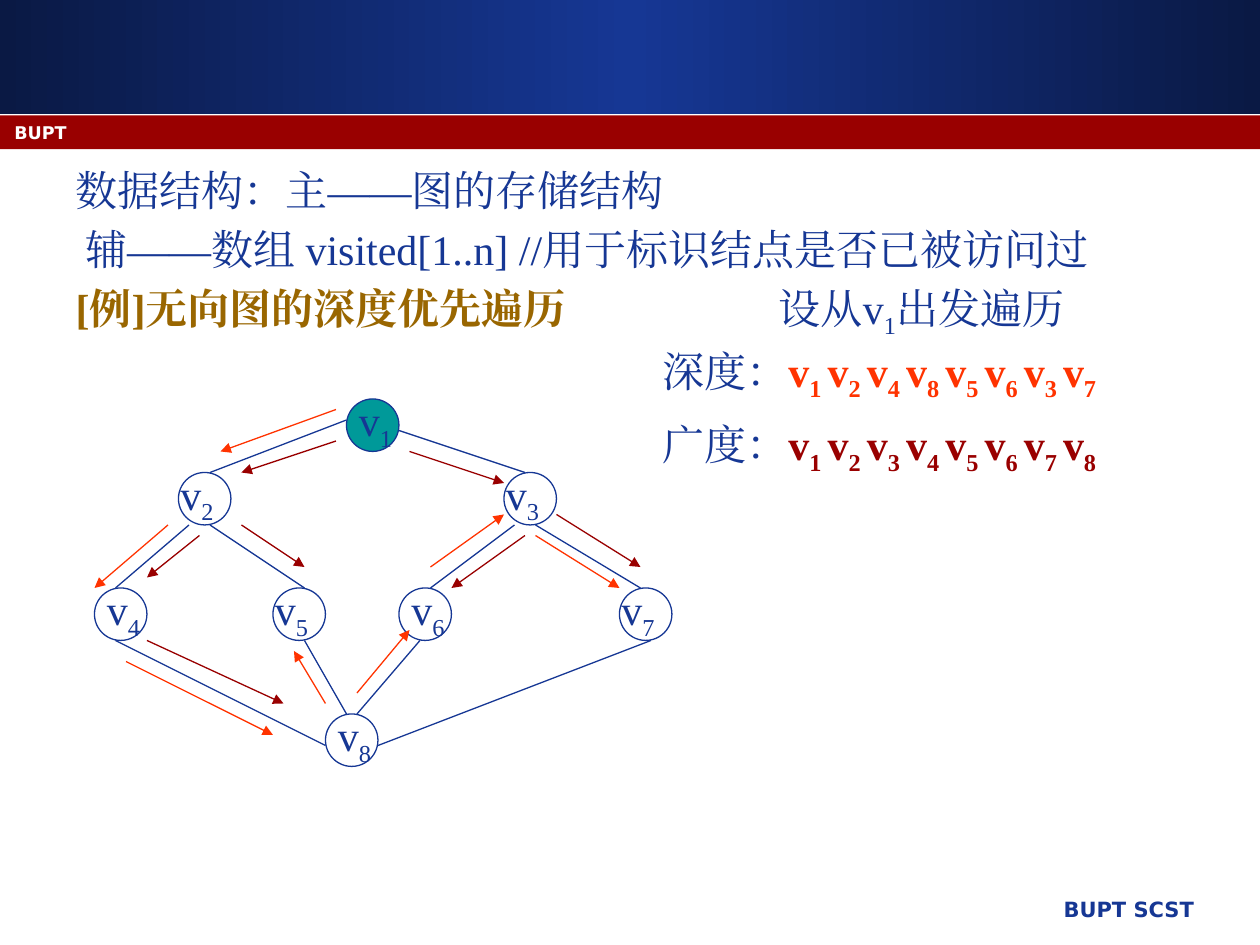
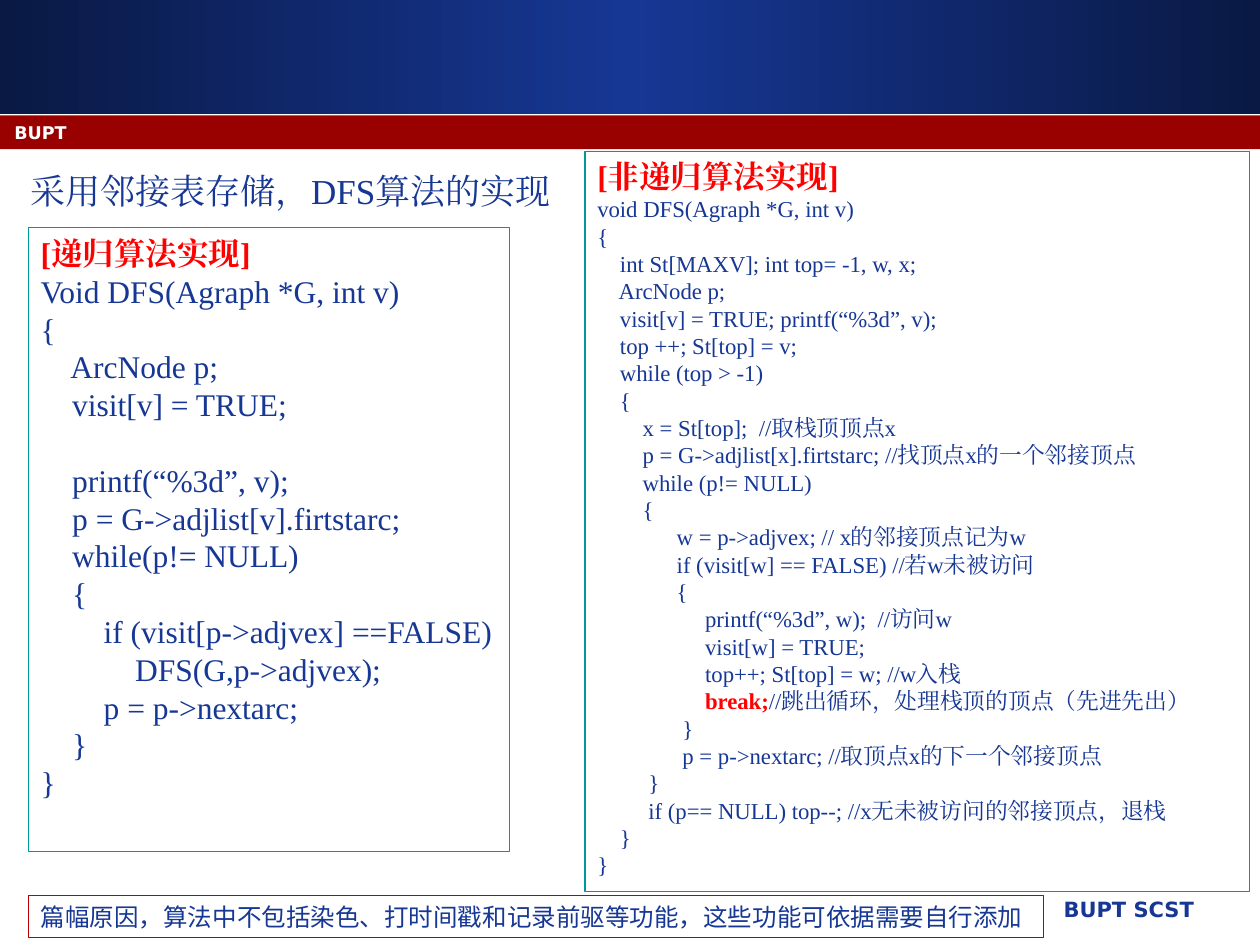
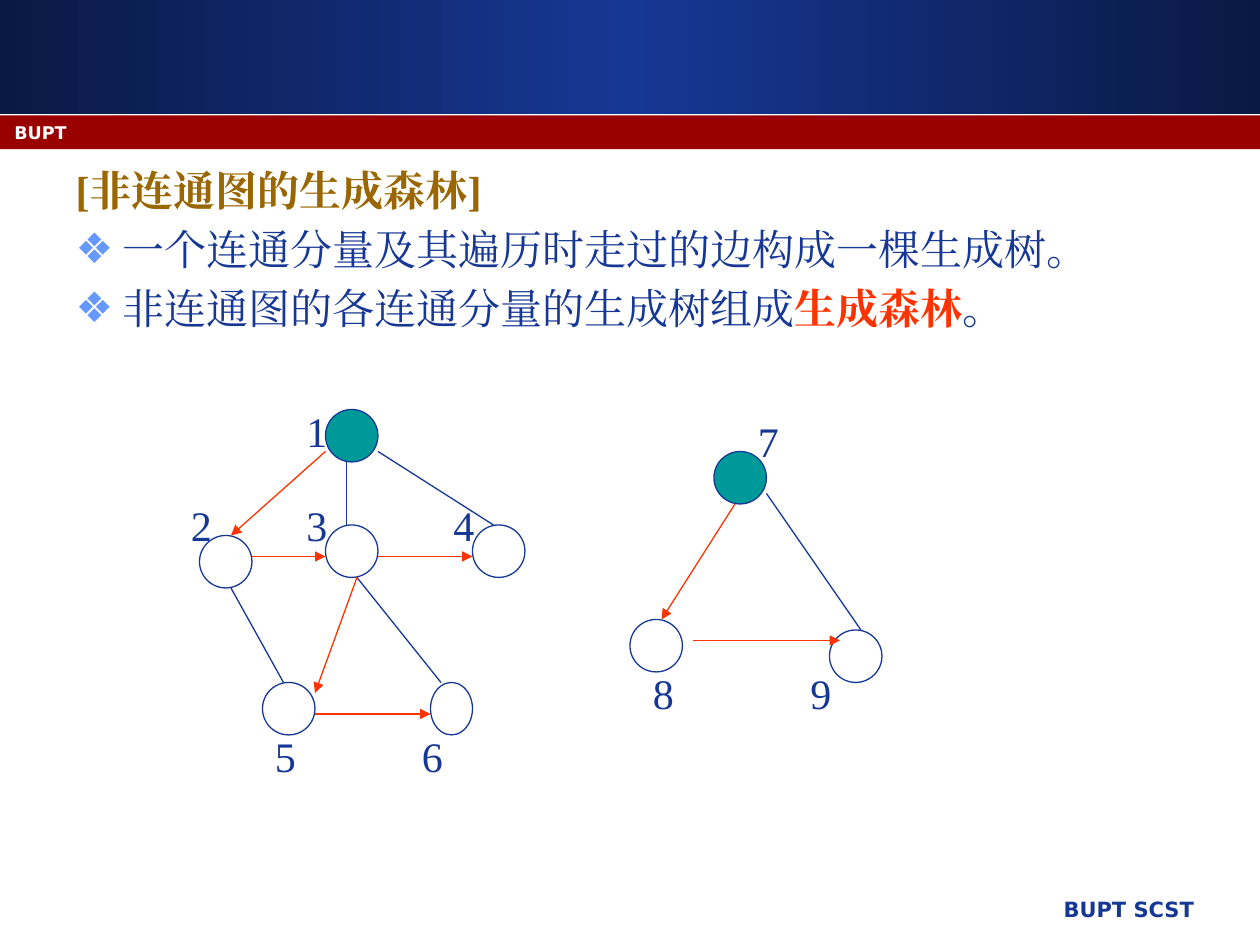
from typing import NamedTuple

from lxml import etree
from copy import deepcopy
from pptx import Presentation
from pptx import util as u
from pptx.dml.color import RGBColor
from pptx.enum import shapes, text
from pptx.oxml.ns import qn

# Scale: 120 px to the inch
PX = 914400 // 120
BLUE = RGBColor(0x16, 0x37, 0x94)
NAVY = RGBColor(0x0A, 0x19, 0x44)
DARK = RGBColor(0x99, 0x00, 0x00)
WHITE = RGBColor(0xFF, 0xFF, 0xFF)
TEAL = RGBColor(0x00, 0x99, 0x99)
ORANGE = RGBColor(0xFF, 0x33, 0x00)
RED = RGBColor(0xFF, 0x00, 0x00)
BROWN = RGBColor(0x99, 0x66, 0x00)
WINE = RGBColor(0xC0, 0x00, 0x00)
SKY = RGBColor(0x66, 0x99, 0xFF)
SERIF, SANS, HAN = "Times New Roman", "DejaVu Sans", "Noto Sans CJK SC"


class Run(NamedTuple):
    text: str
    size: int = 24
    color: RGBColor = BLUE
    bold: bool = False
    sub: bool = False
    font: str = SERIF


class Para(NamedTuple):
    runs: list[Run]
    gap: float = 0


class Node(NamedTuple):
    x: int
    y: int
    label: list[Run]
    dx: int
    dy: int
    wide: int = 50
    root: bool = False


class Link(NamedTuple):
    x1: int
    y1: int
    x2: int
    y2: int


# Text
def add_run(para, run: Run) -> None:
    item = para.add_run()
    item.text = run.text
    font = item.font
    font.size, font.bold, font.name = u.Pt(run.size), run.bold, run.font
    font.color.rgb = run.color
    props = item._r.get_or_add_rPr()
    etree.SubElement(props, qn("a:ea")).set("typeface", run.font)
    if run.sub:
        props.set("baseline", "-25000")


def fill_text(frame, paras: list[Para], align=text.PP_ALIGN.LEFT, wrap: bool = True) -> list:
    frame.word_wrap = wrap
    frame.auto_size = text.MSO_AUTO_SIZE.NONE
    frame.vertical_anchor = text.MSO_ANCHOR.TOP
    for i, para in enumerate(paras):
        line = frame.add_paragraph() if i else frame.paragraphs[0]
        line.alignment = align
        if para.gap:
            line.space_before = u.Pt(para.gap)
        for run in para.runs:
            add_run(line, run)
    return list(frame.paragraphs)


def add_label(slide, x: int, y: int, w: int, h: int, runs: list[Run],
              align=text.PP_ALIGN.LEFT) -> None:
    box = slide.shapes.add_textbox(x * PX, y * PX, w * PX, h * PX)
    fill_text(box.text_frame, [Para(runs)], align)


def verts(order: str, color: RGBColor = BLUE, bold: bool = False) -> list[Run]:
    runs = []
    for i, digit in enumerate(order, 1):
        tail = " " if i < len(order) else ""
        runs += [Run("v", color=color, bold=bold),
                 Run(digit + tail, color=color, bold=bold, sub=True)]
    return runs


def code(title: str, source: str, size: int) -> list[Para]:
    paras, gap = [Para([Run(title, 18, RED, True)])], 0
    for line in source.strip("\n").split("\n"):
        if not line:
            gap = size * 1.2
            continue
        pre, key, post = line.partition("break;")
        runs = [Run(pre, size), Run(key, size, RED, True), Run(post, size)]
        paras.append(Para([r for r in runs if r.text], gap))
        gap = 0
    return paras


# Shapes
def add_form(slide, kind, x: int, y: int, w: int, h: int, fill=None, line=None):
    form = slide.shapes.add_shape(kind, x * PX, y * PX, w * PX, h * PX)
    form.shadow.inherit = False
    if fill is None:
        form.fill.background()
    else:
        form.fill.solid()
        form.fill.fore_color.rgb = fill
    if line is None:
        form.line.fill.background()
    else:
        form.line.color.rgb = line
        form.line.width = u.Pt(0.75)
    return form


def add_panel(slide, x: int, y: int, w: int, h: int, line: RGBColor,
              paras: list[Para], wrap: bool) -> None:
    panel = add_form(slide, shapes.MSO_SHAPE.RECTANGLE, x, y, w, h, line=line)
    fill_text(panel.text_frame, paras, wrap=wrap)


def add_links(slide, links: list[Link], color: RGBColor = BLUE, arrow: bool = True) -> None:
    for link in links:
        line = slide.shapes.add_connector(shapes.MSO_CONNECTOR.STRAIGHT,
                                          *(value * PX for value in link))
        line.line.color.rgb = color
        line.line.width = u.Pt(0.75)
        if arrow:
            etree.SubElement(line.line._get_or_add_ln(), qn("a:tailEnd")).set("type", "triangle")
        etree.SubElement(line._element.spPr, qn("a:effectLst"))


def add_nodes(slide, nodes: list[Node]) -> None:
    for node in nodes:
        add_form(slide, shapes.MSO_SHAPE.OVAL, node.x, node.y, node.wide, 50,
                 TEAL if node.root else None, BLUE)


def add_names(slide, nodes: list[Node]) -> None:
    for node in nodes:
        add_label(slide, node.x + node.dx, node.y + node.dy, 70, 60, node.label)


# Shared frame
def add_bands(deck, slide) -> None:
    rect = shapes.MSO_SHAPE.RECTANGLE
    top = add_form(slide, rect, 0, 0, 1200, 109, BLUE)
    top.fill.gradient()
    top.fill.gradient_angle = 0
    stops = top._element.spPr.find(".//" + qn("a:gsLst"))
    stops.insert(1, deepcopy(stops[0]))
    for stop, place, color in zip(top.fill.gradient_stops, (0, 0.5, 1), (NAVY, BLUE, NAVY)):
        stop.position, stop.color.rgb = place, color
    strip = add_form(slide, rect, 0, 110, 1200, 32, DARK)
    tree = deck.slide_master.shapes._spTree
    for i, band in enumerate((top, strip)):
        tree.insert(2 + i, band._element)


def add_slide(deck, x: int, y: int, paras: list[Para]):
    slide = deck.slides.add_slide(deck.slide_layouts[1])
    title = slide.shapes.title._element
    title.getparent().remove(title)
    body = slide.placeholders[1]
    body.left, body.top, body.width, body.height = x * PX, y * PX, 1080 * PX, 689 * PX
    lines = fill_text(body.text_frame, paras)
    lines[0].space_before = u.Pt(0)
    for line in lines:
        set_bullet(line)
    add_label(slide, 505, 848, 644, 42, [Run("BUPT SCST", 12, bold=True, font=SANS)],
              text.PP_ALIGN.RIGHT)
    add_label(slide, 2, 110, 1110, 30, [Run("BUPT", 10, WHITE, True, font=SANS)])
    return slide, lines


def set_bullet(line, mark: str = "", inset: int = 0) -> None:
    props = line._p.get_or_add_pPr()
    props.set("marL", str(45 * PX))
    props.set("indent", str((inset - 45) * PX))
    for old in props.findall(qn("a:buNone")):
        props.remove(old)
    if mark:
        color = etree.SubElement(props, qn("a:buClr"))
        etree.SubElement(color, qn("a:srgbClr")).set("val", str(SKY))
        etree.SubElement(props, qn("a:buChar")).set("char", mark)
    else:
        etree.SubElement(props, qn("a:buNone"))


# Slide 1: depth-first and breadth-first walks
def draw_walk(deck) -> None:
    slide, lines = add_slide(deck, 60, 151, [
        Para([Run("数据结构：主——图的存储结构")]),
        Para([Run("辅——数组 visited[1..n] //用于标识结点是否已被访问过")]),
        Para([Run("[例]无向图的深度优先遍历", color=BROWN, bold=True)])])
    set_bullet(lines[1], inset=9)
    add_bands(deck, slide)
    spots = [(330, 380, 0), (170, 450, -10), (480, 450, -10), (90, 560, 0),
             (260, 560, -10), (380, 560, 0), (590, 560, -10), (310, 680, 0)]
    nodes = [Node(x, y, verts(str(i)), dx, -10, root=i == 1)
             for i, (x, y, dx) in enumerate(spots, 1)]
    add_nodes(slide, nodes)
    add_links(slide, [
        Link(330, 400, 200, 450), Link(180, 500, 110, 560), Link(200, 500, 290, 560),
        Link(380, 410, 500, 450), Link(490, 500, 410, 560), Link(510, 500, 610, 560),
        Link(290, 610, 330, 680), Link(400, 610, 340, 680), Link(110, 610, 310, 710),
        Link(620, 610, 360, 710)], arrow=False)
    add_names(slide, nodes)
    add_label(slide, 619, 323, 460, 60, [Run("深度：")] + verts("12485637", ORANGE, True))
    add_label(slide, 619, 393, 460, 60, [Run("广度：")] + verts("12345678", DARK, True))
    add_links(slide, [
        Link(320, 390, 210, 430), Link(160, 500, 90, 560), Link(120, 630, 260, 700),
        Link(310, 670, 280, 620), Link(340, 660, 390, 600), Link(410, 540, 480, 490),
        Link(510, 510, 590, 560)], ORANGE)
    add_links(slide, [
        Link(320, 420, 230, 450), Link(390, 430, 480, 460), Link(190, 510, 140, 550),
        Link(230, 500, 290, 540), Link(500, 510, 430, 560), Link(530, 490, 610, 540),
        Link(140, 610, 270, 670)], DARK)
    add_label(slide, 730, 263, 330, 60, [Run("设从"), *verts("1"), Run("出发遍历")])


# Slide 2: both listings
RECUR = """
Void DFS(Agraph *G, int v)
{
    ArcNode p;
    visit[v] = TRUE;

    printf(“%3d”, v);
    p = G->adjlist[v].firtstarc;
    while(p!= NULL)
    {
        if (visit[p->adjvex] ==FALSE)
            DFS(G,p->adjvex);
        p = p->nextarc;
    }
}
"""
STACK = """
void DFS(Agraph *G, int v)
{
    int St[MAXV]; int top= -1, w, x;
    ArcNode p;
    visit[v] = TRUE; printf(“%3d”, v);
    top ++; St[top] = v;
    while (top > -1)
    {
        x = St[top];  //取栈顶顶点x
        p = G->adjlist[x].firtstarc; //找顶点x的一个邻接顶点
        while (p!= NULL)
        {
              w = p->adjvex; // x的邻接顶点记为w
              if (visit[w] == FALSE) //若w未被访问
              {
                   printf(“%3d”, w);  //访问w
                   visit[w] = TRUE;
                   top++; St[top] = w; //w入栈
                   break;//跳出循环，处理栈顶的顶点（先进先出）
               }
               p = p->nextarc; //取顶点x的下一个邻接顶点
         }
         if (p== NULL) top--; //x无未被访问的邻接顶点，退栈
    }
}
"""


def draw_code(deck) -> None:
    slide, _ = add_slide(deck, 17, 155, [Para([Run("采用邻接表存储，DFS算法的实现", 20)])])
    add_panel(slide, 27, 217, 458, 594, TEAL, code("[递归算法实现]", RECUR, 18), False)
    add_panel(slide, 557, 144, 633, 705, TEAL, code("[非递归算法实现]", STACK, 13), True)
    note = "篇幅原因，算法中不包括染色、打时间戳和记录前驱等功能，这些功能可依据需要自行添加"
    add_panel(slide, 27, 853, 967, 40, WINE, [Para([Run(note, 14, font=HAN)])], False)


# Slide 3: spanning forest
def draw_forest(deck) -> None:
    slide, lines = add_slide(deck, 60, 151, [
        Para([Run("[非连通图的生成森林]", color=BROWN, bold=True)]),
        Para([Run("一个连通分量及其遍历时走过的边构成一棵生成树。")]),
        Para([Run("非连通图的各连通分量的生成树组成"),
              Run("生成森林", color=ORANGE, bold=True), Run("。")])])
    for line in lines[1:]:
        set_bullet(line, "❖")
    spots = [(310, 390, -30, -10), (190, 510, -20, -40), (310, 500, -30, -30),
             (450, 500, -30, -30), (250, 650, 0, 40), (410, 650, -20, 40),
             (680, 430, 30, -40), (600, 590, 10, 40), (790, 600, -30, 30)]
    nodes = [Node(x, y, [Run(str(i))], dx, dy, 40 if i == 6 else 50, i in (1, 7))
             for i, (x, y, dx, dy) in enumerate(spots, 1)]
    add_nodes(slide, nodes)
    add_links(slide, [
        Link(360, 430, 470, 500), Link(220, 560, 270, 650), Link(340, 550, 420, 650),
        Link(330, 440, 330, 500), Link(730, 470, 820, 600)], arrow=False)
    add_links(slide, [
        Link(310, 430, 220, 510), Link(340, 550, 300, 660), Link(240, 530, 310, 530),
        Link(360, 530, 450, 530), Link(300, 680, 410, 680), Link(700, 480, 630, 590),
        Link(660, 610, 800, 610)], ORANGE)
    add_names(slide, nodes)


def main() -> None:
    deck = Presentation()
    deck.slide_width, deck.slide_height = 1200 * PX, 900 * PX
    for draw in (draw_walk, draw_code, draw_forest):
        draw(deck)
    deck.save("out.pptx")


if __name__ == "__main__":
    main()
